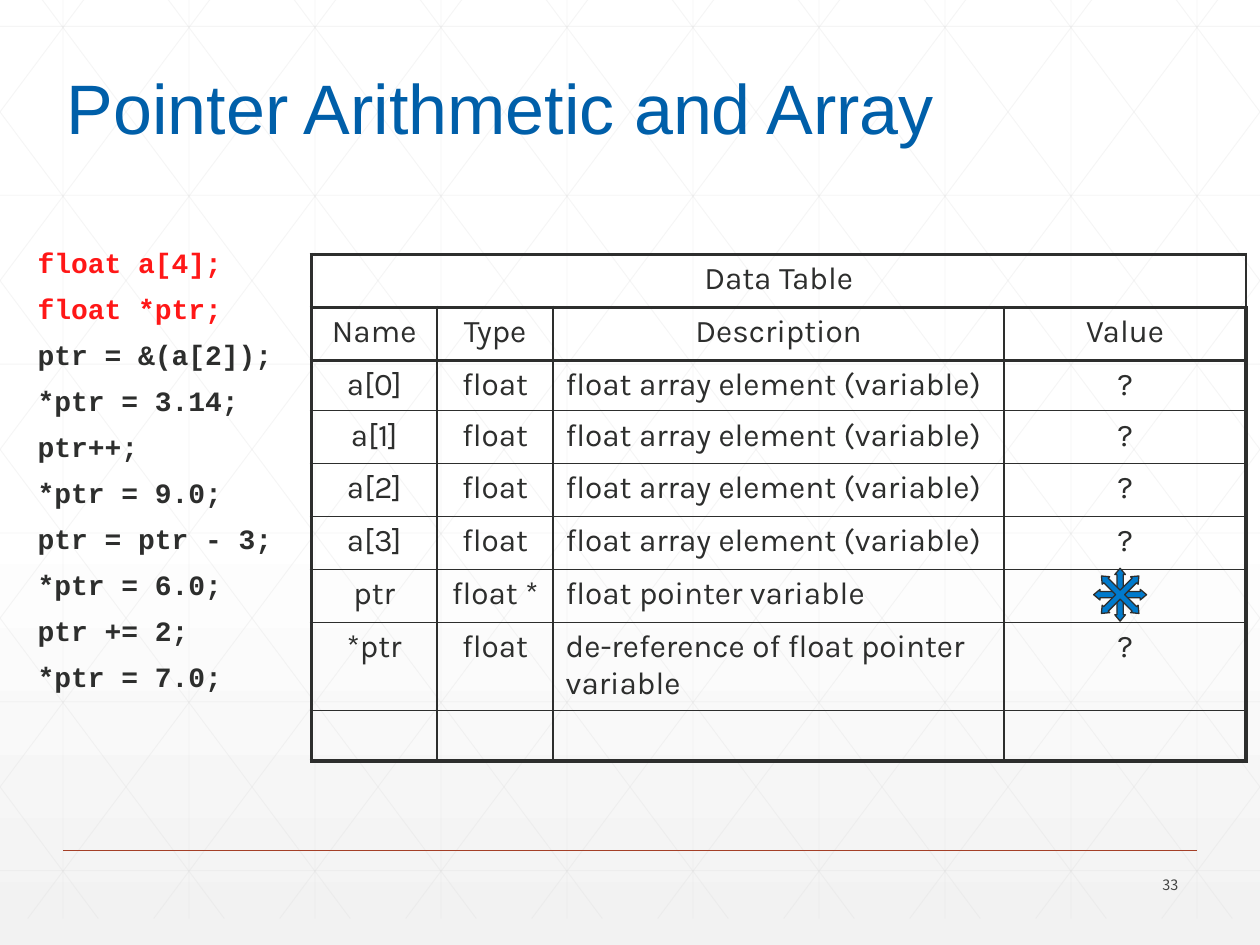
from lxml.etree import SubElement
from pptx import Presentation
from pptx.dml.color import RGBColor
from pptx.enum.shapes import MSO_CONNECTOR, MSO_SHAPE
from pptx.enum.text import MSO_ANCHOR, MSO_AUTO_SIZE, PP_ALIGN
from pptx.oxml import parse_xml
from pptx.oxml.ns import nsdecls, qn
from pptx.util import Inches, Pt

COLORS = {"ink": "2D2E2D", "title": "005FA9", "declaration": "FF1717",
          "grid": "D9D9D9", "rule": "A43F27", "star": "007ACC",
          "number": "424342", "white": "FFFFFF", "shade": "F2F2F2"}

DECLARATIONS = ["float a[4];", "float *ptr;"]
STATEMENTS = ["ptr = &(a[2]);", "*ptr = 3.14;", "ptr++;", "*ptr = 9.0;",
              "ptr = ptr - 3;", "*ptr = 6.0;", "ptr += 2;", "*ptr = 7.0;"]

ELEMENT = "float array element (variable)"
ROWS = [["Data Table", "", "", ""],
        ["Name", "Type", "Description", "Value"],
        *[[f"a[{index}]", "float", ELEMENT, "?"] for index in range(4)],
        ["ptr", "float *", "float pointer variable", ""],
        ["*ptr", "float", "de-reference of float pointer variable", "?"],
        ["", "", "", ""]]
COLUMN_WIDTHS = [1, 0.92, 3.58, 1.92]
ROW_HEIGHTS = [0.42, 0.42, 0.4, 0.42, 0.42, 0.42, 0.42, 0.7, 0.4]
HEADER_ROWS = 2


def color(name):
    return RGBColor.from_string(COLORS[name])


def set_font(para, name, size, color_name, bold=False):
    para.font.name = name
    para.font.size = Pt(size)
    para.font.bold = bold
    para.font.color.rgb = color(color_name)


def add_line(page, start, end, color_name, width, opacity=None):
    line = page.shapes.add_connector(
        MSO_CONNECTOR.STRAIGHT, *[Inches(length) for length in (*start, *end)])
    line.line.color.rgb = color(color_name)
    line.line.width = Pt(width)
    if opacity is not None:
        tint = line.line.fill._xPr.find(".//" + qn("a:srgbClr"))
        SubElement(tint, qn("a:alpha"), val=str(opacity * 1000))
    SubElement(line.element.spPr, qn("a:effectLst"))


def add_background(page):
    fill = page.background.fill
    fill.gradient()
    fill.gradient_angle = 270
    for stop, position, name in zip(fill.gradient_stops, (0.53, 1), ("white", "shade")):
        stop.position = position
        stop.color.rgb = color(name)


def add_grid(page, left, top, width, height):
    right, bottom = left + width, top + height
    run = 5.6  # horizontal reach of a full diagonal
    lines = [((left + 0.5 + step, top), (left + 0.5 + step, bottom)) for step in range(10)]
    lines += [((left, top + 0.42 + 1.34 * step), (right, top + 0.42 + 1.34 * step))
              for step in range(6)]
    # Diagonals one inch apart, clipped at the sides, and their mirror images
    for step in range(-5, 10):
        origin = left + 0.18 + step
        start_x, end_x = max(origin, left), min(origin + run, right)
        start, end = [(x, top + (x - origin) * height / run) for x in (start_x, end_x)]
        lines.append((start, end))
        lines.append(tuple((left + right - x, y) for x, y in (start, end)))
    for start, end in lines:
        add_line(page, start, end, "grid", 0.5, opacity=25)


def add_title(page, left, top, width, height):
    title = page.shapes.title
    title.left, title.top = Inches(left), Inches(top)
    title.width, title.height = Inches(width), Inches(height)
    title.element.getparent().append(title.element)  # in front of the grid
    frame = title.text_frame
    frame.text = "Pointer Arithmetic and Array"
    frame.word_wrap = False
    frame.auto_size = MSO_AUTO_SIZE.SHAPE_TO_FIT_TEXT
    para = frame.paragraphs[0]
    para.alignment = PP_ALIGN.LEFT
    set_font(para, "Arial", 40, "title")


def add_code(page, left, top, width, height):
    box = page.shapes.add_textbox(Inches(left), Inches(top), Inches(width), Inches(height))
    frame = box.text_frame
    frame.word_wrap = True
    for index, text in enumerate(DECLARATIONS + STATEMENTS):
        para = frame.add_paragraph() if index else frame.paragraphs[0]
        para.text = text
        para.line_spacing = 0.9
        if index:
            para.space_before = Pt(9)
        properties = para._p.get_or_add_pPr()
        properties.set("marL", str(Inches(0.19)))
        properties.set("indent", str(-Inches(0.19)))
        name = "declaration" if index < len(DECLARATIONS) else "ink"
        set_font(para, "Courier New", 16, name, bold=True)


def set_borders(cell, widths):
    properties = cell._tc.get_or_add_tcPr()
    for index, (side, width) in enumerate(zip("LRTB", widths)):
        properties.insert(index, parse_xml(
            f'<a:ln{side} {nsdecls("a")} w="{Pt(width)}"><a:solidFill>'
            f'<a:srgbClr val="{COLORS["ink"]}"/></a:solidFill></a:ln{side}>'))


def add_data_table(page, left, top, width, height):
    last_row, last_column = len(ROWS) - 1, len(COLUMN_WIDTHS) - 1
    table = page.shapes.add_table(len(ROWS), len(COLUMN_WIDTHS), Inches(left), Inches(top),
                                  Inches(width), Inches(height)).table
    table.first_row = table.horz_banding = False
    for column, size in zip(table.columns, COLUMN_WIDTHS):
        column.width = Inches(size)
    for row, size in zip(table.rows, ROW_HEIGHTS):
        row.height = Inches(size)
    for row, texts in enumerate(ROWS):
        for column, text in enumerate(texts):
            cell = table.cell(row, column)
            cell.fill.background()
            # Heavy lines around the table and under each header row
            heavy = (column == 0, column == last_column, row <= HEADER_ROWS,
                     row < HEADER_ROWS or row == last_row)
            set_borders(cell, [2.25 if edge else 1 for edge in heavy])
            if text:
                cell.text = text
                para = cell.text_frame.paragraphs[0]
                is_description = column == 2 and row >= HEADER_ROWS
                para.alignment = PP_ALIGN.LEFT if is_description else PP_ALIGN.CENTER
                set_font(para, "Karla", 18, "ink")
    table.cell(0, 0).merge(table.cell(0, last_column))


def add_star(page, left, top, size):
    for rotation in (0, 45):
        arrow = page.shapes.add_shape(MSO_SHAPE.QUAD_ARROW, Inches(left), Inches(top),
                                      Inches(size), Inches(size))
        arrow.rotation = rotation
        arrow.shadow.inherit = False
        for index, ratio in enumerate((0.12, 0.1, 0.12)):
            arrow.adjustments[index] = ratio
        arrow.fill.solid()
        arrow.fill.fore_color.rgb = color("star")
        arrow.line.color.rgb = color("ink")
        arrow.line.width = Pt(0.75)


def add_page_number(page, left, top, width, height):
    box = page.shapes.add_textbox(Inches(left), Inches(top), Inches(width), Inches(height))
    frame = box.text_frame
    frame.word_wrap = True
    frame.vertical_anchor = MSO_ANCHOR.MIDDLE
    para = frame.paragraphs[0]
    para.text = "33"
    para.alignment = PP_ALIGN.RIGHT
    set_font(para, "Noto Sans CJK TC", 8.2, "number")


def main():
    deck = Presentation()
    deck.slide_width, deck.slide_height = Inches(10), Inches(7.5)
    page = deck.slides.add_slide(deck.slide_layouts[5])
    # Backdrop
    add_background(page)
    add_grid(page, 0, -0.21, 10, 7.5)
    add_line(page, (0.5, 6.75), (9.5, 6.75), "rule", 1)
    # Content
    add_page_number(page, 8.7, 6.9, 0.75, 0.24)
    add_title(page, 0.43, 0.46, 7.16, 0.77)
    add_code(page, 0.2, 1.93, 2.25, 4.5)
    add_data_table(page, 2.47, 2.02, 7.42, 4.02)
    add_star(page, 8.68, 4.51, 0.42)
    deck.save("out.pptx")


if __name__ == "__main__":
    main()
